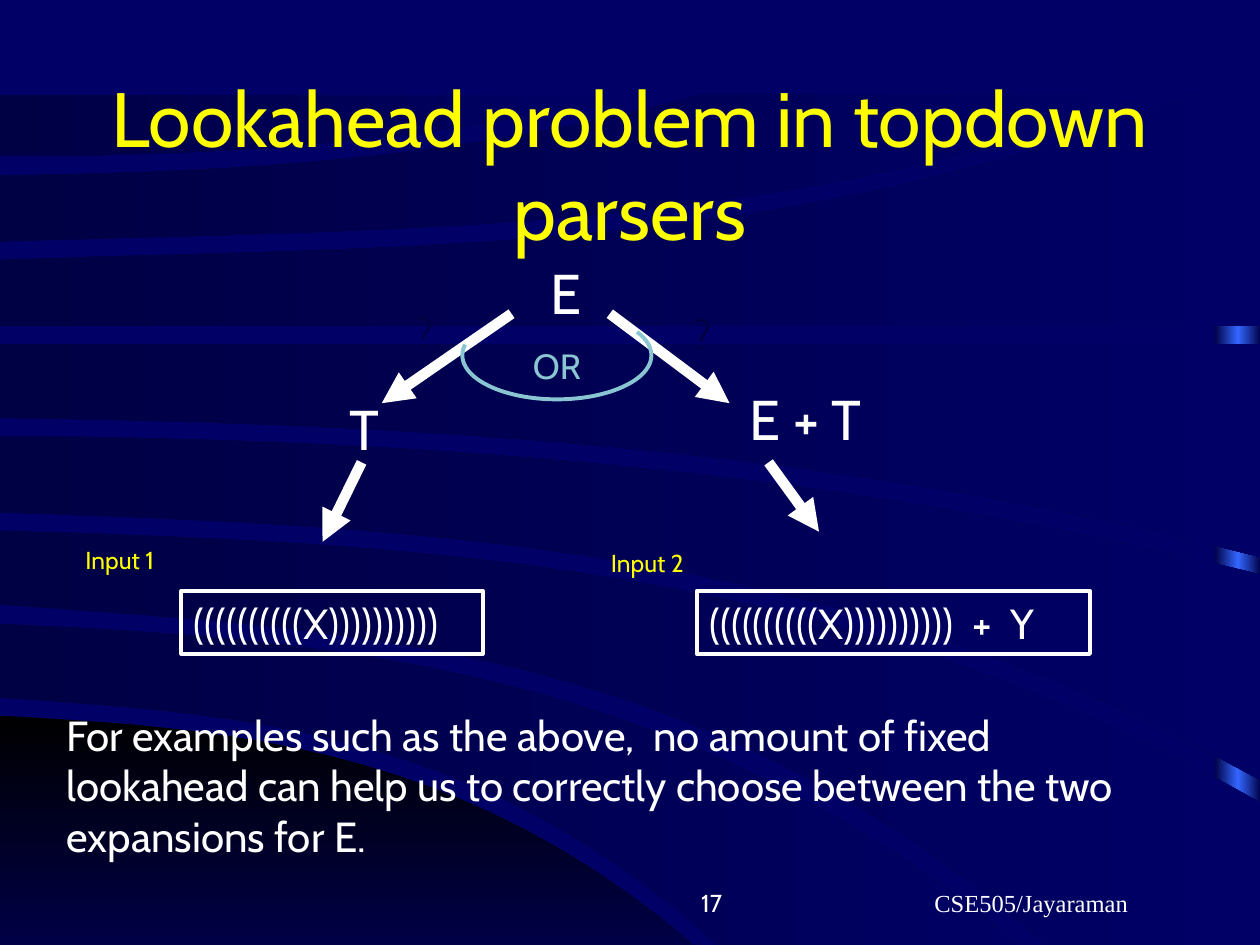
from copy import deepcopy
from dataclasses import dataclass
from math import cos, prod, radians, sin

from lxml.etree import SubElement
from pptx import Presentation
from pptx.dml.color import RGBColor
from pptx.enum.shapes import MSO_CONNECTOR, MSO_SHAPE
from pptx.enum.text import MSO_ANCHOR, PP_ALIGN
from pptx.oxml.ns import qn
from pptx.util import Inches, Pt

WHITE, YELLOW, TEAL, NAVY, DARK = "FFFFFF", "FFFF00", "8AC6D2", "000066", "000044"
EDGE_STEPS = 24
Points = list[tuple[float, float]]


@dataclass
class Label:
    text: str
    box: tuple[float, float, float, float]
    size: float
    color: str = WHITE
    align: PP_ALIGN = PP_ALIGN.LEFT
    anchor: MSO_ANCHOR = MSO_ANCHOR.TOP
    font: str = "Cabin"
    framed: bool = False


@dataclass
class Arrow:
    start: tuple[float, float]
    end: tuple[float, float]


@dataclass
class Edge:
    right: float
    heights: tuple[float, ...]

    def points(self) -> Points:
        """Trace the smooth curve through evenly spaced heights."""
        last = len(self.heights) - 1
        curve = []
        for step in range(EDGE_STEPS + 1):
            place = step / EDGE_STEPS * last
            height = sum(
                value * prod((place - j) / (i - j) for j in range(last + 1) if j != i)
                for i, value in enumerate(self.heights))
            curve.append((self.right * step / EDGE_STEPS, height))
        return curve


@dataclass
class Band:
    upper: Edge
    lower: Edge
    corner: Points
    colors: tuple[str, str] = (DARK, NAVY)
    angle: float = 0


BANDS = [
    Band(Edge(6.29, (5.68, 5.89, 6.6, 8.27)), Edge(6.29, (8.27, 8.27)), [], ("000000", NAVY), 270),
    Band(Edge(8.94, (4.95, 5.22, 6.13, 8.25)), Edge(6.43, (5.54, 5.76, 6.49, 8.25)), []),
    Band(Edge(10, (4.21, 4.39, 4.98, 6.37)), Edge(9.1, (4.8, 5.09, 6, 8.25)), [(10, 8.25)]),
    Band(Edge(10, (3.46, 3.57, 3.91, 4.56)), Edge(10, (4.07, 4.25, 4.83, 6.19)), []),
    Band(Edge(10, (2.73, 2.73)), Edge(10, (3.32, 3.43, 3.76, 4.42)), []),
    Band(Edge(9.44, (2.06, 1.96, 1.64, 0.75)), Edge(10, (2.59, 2.59)), [(10, 0.75)]),
    Band(Edge(5.57, (1.39, 1.33, 1.14, 0.75)), Edge(9.18, (1.92, 1.82, 1.53, 0.75)), []),
    Band(Edge(5.02, (0.75, 0.75)), Edge(5.02, (1.24, 1.2, 1.05, 0.75)), []),
]

LABELS = [
    Label("CSE505/Jayaraman", (6.6, 6.83, 3.17, 0.5), 14, align=PP_ALIGN.CENTER,
          anchor=MSO_ANCHOR.BOTTOM, font="Times New Roman"),
    Label("17", (3.75, 6.83, 2.08, 0.5), 14, align=PP_ALIGN.RIGHT, anchor=MSO_ANCHOR.BOTTOM),
    Label("Lookahead problem in topdown parsers", (0.75, 0.67, 8.5, 1.25), 44, YELLOW,
          PP_ALIGN.CENTER, MSO_ANCHOR.MIDDLE),
    Label("E", (4.27, 2, 0.44, 0.64), 32),
    Label("T", (2.37, 3.08, 0.74, 0.64), 32, align=PP_ALIGN.RIGHT),
    Label("E + T", (5.85, 3, 1.18, 0.64), 32),
    Label("((((((((((X))))))))))", (1.44, 4.69, 2.39, 0.5), 24, framed=True),
    Label("?", (3.2, 2.38, 0.34, 0.5), 24, DARK),
    Label("?", (5.41, 2.4, 0.34, 0.5), 24, DARK),
    Label("((((((((((X))))))))))  +  Y", (5.53, 4.69, 3.12, 0.5), 24, framed=True),
    Label("For examples such as the above,  no amount of fixed\n"
          "lookahead can help us to correctly choose between the two\n"
          "expansions for E.", (0.43, 5.58, 9.48, 1.3), 24),
    Label("Input 1", (0.58, 4.28, 0.86, 0.34), 14, YELLOW),
    Label("Input 2", (4.75, 4.3, 0.86, 0.34), 14, YELLOW),
]

ARROWS = [
    Arrow((4.06, 2.49), (3.03, 3.2)),
    Arrow((4.84, 2.49), (5.79, 3.2)),
    Arrow((2.87, 3.67), (2.56, 4.3)),
    Arrow((6.1, 3.67), (6.5, 4.22)),
]


def rgb(color: str) -> RGBColor:
    """Turn a hex string into a colour."""
    return RGBColor.from_string(color)


def fill_gradient(shape, colors: tuple[str, ...], angle: float = 0) -> None:
    """Fill a shape with evenly spaced gradient stops and no outline."""
    shape.shadow.inherit = False
    shape.line.fill.background()
    shape.fill.gradient()
    shape.fill.gradient_angle = angle
    stop_list = shape._element.spPr.find(".//" + qn("a:gsLst"))
    while len(stop_list) < len(colors):
        stop_list.append(deepcopy(stop_list[-1]))
    for index, (stop, color) in enumerate(zip(shape.fill.gradient_stops, colors)):
        stop.position = index / (len(colors) - 1)
        stop.color.rgb = rgb(color)


def add_outline(slide, points: Points, close: bool):
    """Add a freeform through points given in inches."""
    corners = [(Inches(x), Inches(y)) for x, y in points]
    builder = slide.shapes.build_freeform(*corners[0])
    builder.add_line_segments(corners[1:], close=close)
    return builder.convert_to_shape()


def add_band(slide, band: Band) -> None:
    """Add a gradient band between its upper and lower edges."""
    points = band.upper.points() + band.corner + band.lower.points()[::-1]
    fill_gradient(add_outline(slide, points, True), band.colors, band.angle)


def style_outline(shape, color: str) -> None:
    """Give a shape a thin line without fill or shadow."""
    shape.shadow.inherit = False
    shape.fill.background()
    shape.line.color.rgb = rgb(color)
    shape.line.width = Pt(2.25)


def write_text(shape, label: Label) -> None:
    """Write the lines of a label into a shape."""
    frame = shape.text_frame
    frame.word_wrap = True
    frame.vertical_anchor = label.anchor
    frame.text = label.text
    for paragraph in frame.paragraphs:
        paragraph.alignment = label.align
        paragraph.font.name = label.font
        paragraph.font.size = Pt(label.size)
        paragraph.font.color.rgb = rgb(label.color)


def add_label(slide, label: Label) -> None:
    """Add a text box or a framed rectangle with text."""
    box = [Inches(value) for value in label.box]
    if label.framed:
        shape = slide.shapes.add_shape(MSO_SHAPE.RECTANGLE, *box)
        style_outline(shape, label.color)
    else:
        shape = slide.shapes.add_textbox(*box)
    write_text(shape, label)


def add_arrow(slide, arrow: Arrow) -> None:
    """Add a thick white line with an arrowhead at its end."""
    ends = [Inches(value) for value in arrow.start + arrow.end]
    connector = slide.shapes.add_connector(MSO_CONNECTOR.STRAIGHT, *ends)
    connector.line.color.rgb = rgb(WHITE)
    connector.line.width = Pt(6)
    SubElement(connector.line._get_or_add_ln(), qn("a:tailEnd"), type="triangle")
    SubElement(connector._element.spPr, qn("a:effectLst"))


def add_choice_arc(slide) -> None:
    """Add the open arc that joins the two branches."""
    angles = [radians(degree) for degree in range(-32, 195, 2)]
    arc = add_outline(slide, [(4.42 + 0.75 * cos(a), 2.82 + 0.35 * sin(a)) for a in angles], False)
    style_outline(arc, TEAL)
    write_text(arc, Label("OR", (3.67, 2.64, 1.5, 0.53), 20, TEAL, PP_ALIGN.CENTER, MSO_ANCHOR.MIDDLE))


def main() -> None:
    """Build the slide and save it."""
    presentation = Presentation()
    presentation.slide_width, presentation.slide_height = Inches(10), Inches(7.5)
    slide = presentation.slides.add_slide(presentation.slide_layouts[6])
    slide.background.fill.solid()
    slide.background.fill.fore_color.rgb = rgb(NAVY)
    strip = slide.shapes.add_shape(
        MSO_SHAPE.RECTANGLE, Inches(9.64), Inches(0.77), Inches(0.37), Inches(7.5))
    fill_gradient(strip, (DARK, "3366FF", DARK))
    for band in BANDS:
        add_band(slide, band)
    for label in LABELS:
        add_label(slide, label)
    for arrow in ARROWS:
        add_arrow(slide, arrow)
    add_choice_arc(slide)
    presentation.save("out.pptx")


if __name__ == "__main__":
    main()
